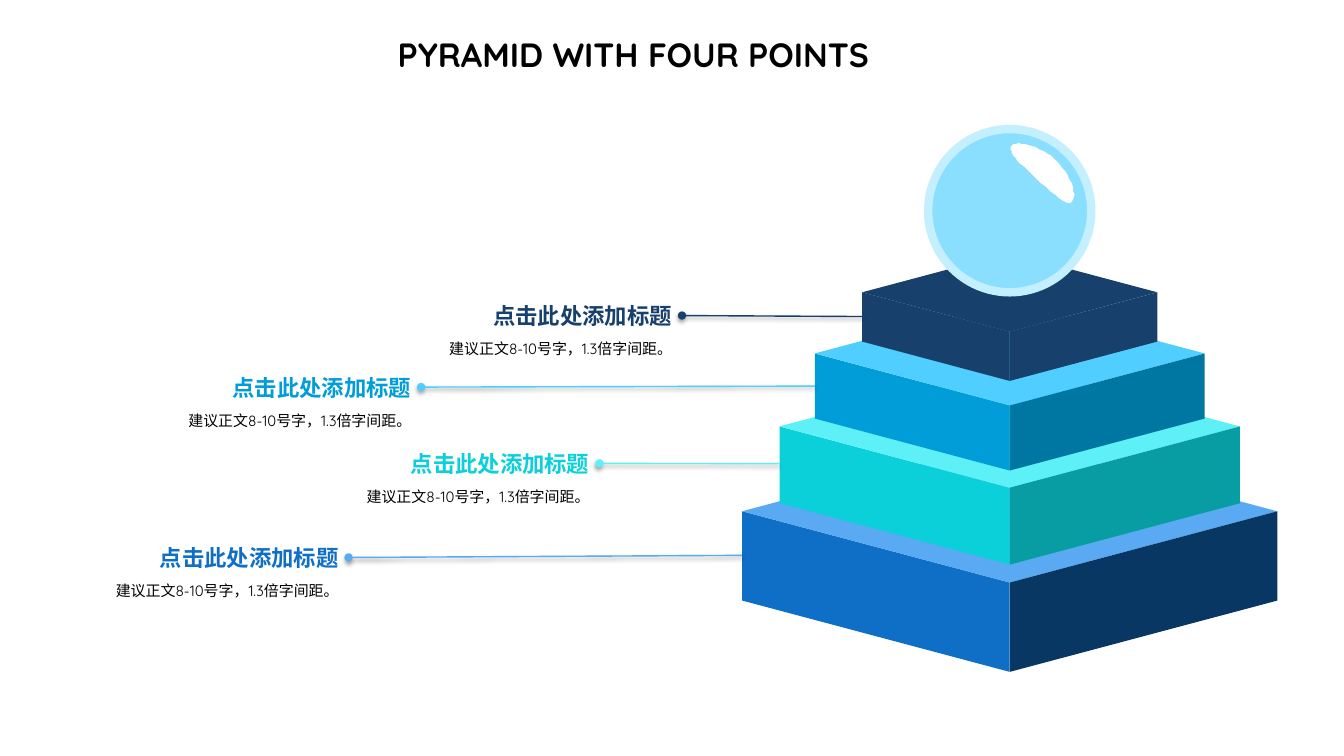
from lxml.etree import SubElement
from pptx import Presentation
from pptx.dml.color import RGBColor
from pptx.enum.shapes import MSO_CONNECTOR, MSO_SHAPE as SHAPE
from pptx.enum.text import MSO_ANCHOR as ANCHOR, MSO_AUTO_SIZE as AUTO, PP_ALIGN as ALIGN
from pptx.oxml.ns import qn
from pptx.util import Pt

CENTER_X = 721.6
SLANT = 0.444  # parallelogram offset as a share of the face height
# width, middle of the top face, left face, top face, right face
TIERS = [
    (382.4, 365.2, "0F6FC6", "59AAF2", "083763"),
    (329, 304.6, "0BD0D9", "5EF0F7", "089CA3"),
    (278.6, 252.5, "009DD9", "4FCEFF", "0076A3"),
    (211, 208.8, "17406D", "17406D", "17406D"),
]
# right edge of the text, line start y, line end y; one per tier
LABELS = [(249.1, 398.2, 396.7), (428.4, 331, 331.2), (301, 276.5, 275.8), (487.4, 225.4, 226.1)]
GLOSS_START = (10.04, 1.45)
GLOSS_CURVES = [  # inches: two control points and an end point
    ((10.08, 1.37), (10.36, 1.48), (10.46, 1.57)),
    ((10.56, 1.67), (10.72, 1.88), (10.64, 2)),
    ((10.57, 2.06), (10.38, 1.85), (10.28, 1.76)),
    ((10.17, 1.67), (10, 1.53), (10.04, 1.45)),
]


def rgb(color):
    return RGBColor.from_string(color)


def bezier_points(start, curves, steps=12):
    """Sample joined cubic curves given in inches; return points in pt."""
    points = []
    for c1, c2, end in curves:
        for i in range(1, steps + 1):
            t = i / steps
            u = 1 - t
            points.append(tuple(
                72 * (u**3 * a + 3 * u * u * t * b + 3 * u * t * t * c + t**3 * d)
                for a, b, c, d in zip(start, c1, c2, end)))
        start = end
    return points


class Slide:
    font = "Quicksand"

    def __init__(self, prs):
        self.s = prs.slides.add_slide(prs.slide_layouts[6])

    def paint(self, sp, fill, line=None, weight=0):
        sp.shadow.inherit = False
        sp.fill.solid()
        sp.fill.fore_color.rgb = rgb(fill)
        if line:
            sp.line.color.rgb = rgb(line)
            sp.line.width = Pt(weight)
        else:
            sp.line.fill.background()

    def shape(self, shapes, kind, x, y, w, h, fill, **line):
        sp = shapes.add_shape(kind, Pt(x), Pt(y), Pt(w), Pt(h))
        self.paint(sp, fill, **line)
        return sp

    def face(self, shapes, cx, cy, w, h, fill, mirrored=False):
        """Side face: a parallelogram turned on end, w by h as seen."""
        sp = self.shape(shapes, SHAPE.PARALLELOGRAM, cx - h / 2, cy - w / 2, h, w, fill)
        sp.adjustments[0] = SLANT
        sp.rotation = 270 if mirrored else 90
        if mirrored:
            sp._element.spPr.get_or_add_xfrm().set("flipH", "1")

    def tier(self, width, mid, left, top, right):
        shapes = self.s.shapes.add_group_shape().shapes
        height = 0.3 * width
        depth = 2 * SLANT * height
        cy = mid + height / 2
        self.face(shapes, CENTER_X - width / 4, cy, width / 2, height, left)
        self.shape(shapes, SHAPE.DIAMOND, CENTER_X - width / 2, mid - depth / 2,
                   width, depth, top)
        self.face(shapes, CENTER_X + width / 4, cy, width / 2, height, right, mirrored=True)

    def sphere(self, top, size):
        shapes = self.s.shapes.add_group_shape().shapes
        self.shape(shapes, SHAPE.OVAL, CENTER_X - size / 2, top, size, size,
                   "8ADFFF", line="C4EFFF", weight=6)
        points = bezier_points(GLOSS_START, GLOSS_CURVES)
        builder = shapes.build_freeform(*points[0], scale=Pt(1))
        builder.add_line_segments(points[1:], close=True)
        self.paint(builder.convert_to_shape(), "FFFFFF")

    def text(self, text, x, y, w, h, size, color="000000", bold=False, align=ALIGN.RIGHT,
             anchor=ANCHOR.TOP, wrap=True, spacing=None, auto=AUTO.SHAPE_TO_FIT_TEXT):
        tf = self.s.shapes.add_textbox(Pt(x), Pt(y), Pt(w), Pt(h)).text_frame
        tf.word_wrap = wrap
        tf.auto_size = auto
        tf.vertical_anchor = anchor
        p = tf.paragraphs[0]
        p.alignment = align
        p.line_spacing = spacing
        r = p.add_run()
        r.text = text
        r.font.name = self.font
        r.font.size = Pt(size)
        r.font.bold = bold
        r.font.color.rgb = rgb(color)

    def leader(self, x1, y1, x2, y2, color):
        """Line with a round start and a soft shadow below."""
        line = self.s.shapes.add_connector(
            MSO_CONNECTOR.STRAIGHT, Pt(x1), Pt(y1), Pt(x2), Pt(y2))
        line.line.color.rgb = rgb(color)
        line.line.width = Pt(1)
        SubElement(line.line._get_or_add_ln(), qn("a:headEnd"), type="oval")
        effects = SubElement(line._element.spPr, qn("a:effectLst"))
        shadow = SubElement(effects, qn("a:outerShdw"), blurRad=str(Pt(3.1)),
                            dist=str(Pt(1.6)), dir="5400000", rotWithShape="0")
        black = SubElement(shadow, qn("a:srgbClr"), val="000000")
        SubElement(black, qn("a:alpha"), val="38000")

    def label(self, right, y, end_x, end_y, color, line_color):
        self.text("建议正文8-10号字，1.3倍字间距。", right - 186.6, y + 10, 186.6, 22.3,
                  size=10.7, spacing=1.3)
        self.text("点击此处添加标题", right - 144, y - 13, 144, 26.6,
                  size=16, color=color, bold=True, wrap=False)
        self.leader(right, y, end_x, end_y, line_color)


def main():
    prs = Presentation()
    prs.slide_width, prs.slide_height = Pt(960.48), Pt(540)
    slide = Slide(prs)
    slide.text("PYRAMID WITH FOUR POINTS", 262.1, 18.7, 380.9, 40.3, size=24, bold=True,
               align=ALIGN.CENTER, anchor=ANCHOR.MIDDLE, auto=AUTO.NONE)
    for tier in TIERS:
        slide.tier(*tier)
    slide.sphere(top=92.2, size=116.6)
    for (width, _, left, top, _), (right, y, end_y) in zip(TIERS, LABELS):
        slide.label(right, y, CENTER_X - width / 2, end_y, left, top)
    prs.save("out.pptx")


if __name__ == "__main__":
    main()
